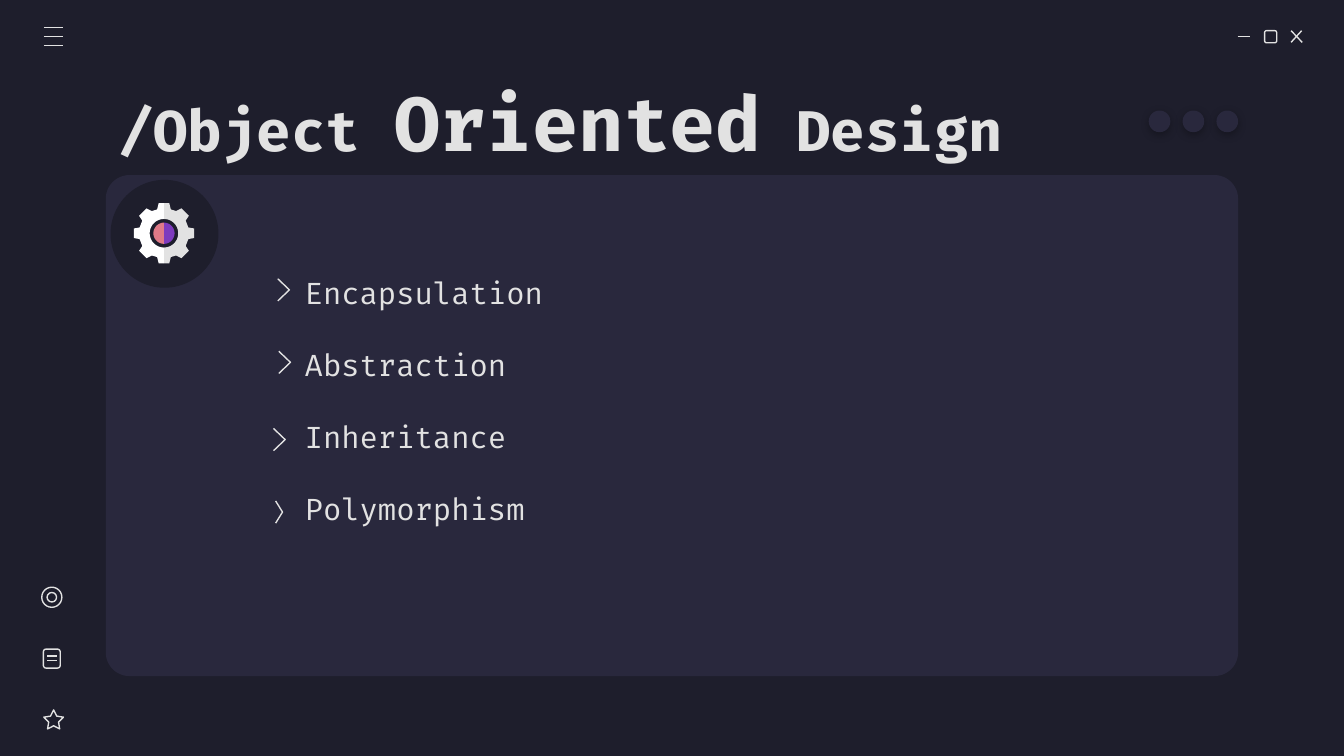
from math import cos, pi, sin

from lxml.etree import SubElement
from pptx import Presentation
from pptx.dml.color import RGBColor
from pptx.enum.shapes import MSO_CONNECTOR, MSO_SHAPE
from pptx.enum.text import MSO_ANCHOR
from pptx.oxml.ns import qn
from pptx.util import Cm, Pt

NIGHT = RGBColor(0x1E, 0x1E, 0x2C)
PANEL = RGBColor(0x29, 0x28, 0x3D)
LIGHT = RGBColor(0xE2, 0xE2, 0xE2)
WHITE = RGBColor(0xFF, 0xFF, 0xFF)
PINK = RGBColor(0xE0, 0x7A, 0x88)
PURPLE = RGBColor(0x7E, 0x3B, 0xBE)

presentation = Presentation()
presentation.slide_width, presentation.slide_height = Cm(25.4), Cm(14.29)
slide = presentation.slides.add_slide(presentation.slide_layouts[6])
slide.background.fill.solid()
slide.background.fill.fore_color.rgb = NIGHT
shapes = slide.shapes


def add_figure(kind, box=None, points=None, fill=None, closed=True):
    """Add a preset in box, or a polygon through points; without a fill it gets a thin outline."""
    if points:
        corners = [(Cm(x), Cm(y)) for x, y in points]
        if kind == MSO_CONNECTOR.STRAIGHT:
            shape = shapes.add_connector(kind, *corners[0], *corners[1])
            SubElement(shape._element.spPr, qn("a:effectLst"))
        else:
            builder = shapes.build_freeform(*corners[0], scale=1.0)
            builder.add_line_segments(corners[1:], close=closed)
            shape = builder.convert_to_shape()
    else:
        shape = shapes.add_shape(kind, *[Cm(length) for length in box])
    if kind != MSO_CONNECTOR.STRAIGHT:
        shape.shadow.inherit = False
        if fill is None:
            shape.fill.background()
        else:
            shape.fill.solid()
            shape.fill.fore_color.rgb = fill
    if fill is None:
        shape.line.color.rgb = LIGHT
        shape.line.width = Pt(0.75)
    else:
        shape.line.fill.background()
    return shape


def add_text(lines, box, gap=0, bottom_inset=0.25):
    """Add one paragraph per line; a line is a list of (text, size, bold) runs."""
    text_frame = shapes.add_textbox(*[Cm(length) for length in box]).text_frame
    text_frame.word_wrap = True
    text_frame.vertical_anchor = MSO_ANCHOR.MIDDLE
    text_frame.margin_left = text_frame.margin_right = text_frame.margin_top = Cm(0.25)
    text_frame.margin_bottom = Cm(bottom_inset)
    for index, line in enumerate(lines):
        paragraph = text_frame.add_paragraph() if index else text_frame.paragraphs[0]
        paragraph.space_before = Pt(gap if index else 0)
        for text, size, bold in line:
            run = paragraph.add_run()
            run.text = text
            run.font.name = "Fira Code"
            run.font.size = Pt(size)
            run.font.bold = bold
            run.font.color.rgb = LIGHT


# Content panel
panel = add_figure(MSO_SHAPE.ROUNDED_RECTANGLE, (2, 3.31, 21.4, 9.47), fill=PANEL)
panel.adjustments[0] = 0.047

# Window buttons, menu and sidebar icons
for start, end in [
    ((23.39, 0.69), (23.62, 0.69)),
    ((24.4, 0.58), (24.61, 0.8)),
    ((24.6, 0.58), (24.4, 0.8)),
    *[((0.83, y), (1.2, y)) for y in (0.52, 0.69, 0.86)],
    *[((0.89, y), (1.07, y)) for y in (12.4, 12.49)],
]:
    add_figure(MSO_CONNECTOR.STRAIGHT, points=(start, end))
for kind, box in [
    (MSO_SHAPE.ROUNDED_RECTANGLE, (23.9, 0.58, 0.23, 0.23)),
    (MSO_SHAPE.OVAL, (0.79, 11.1, 0.38, 0.38)),
    (MSO_SHAPE.OVAL, (0.89, 11.2, 0.18, 0.18)),
    (MSO_SHAPE.ROUNDED_RECTANGLE, (0.82, 12.27, 0.32, 0.36)),
]:
    add_figure(kind, box)
star = add_figure(MSO_SHAPE.STAR_5_POINT, (0.83, 13.42, 0.37, 0.36))
star.adjustments[0] = 0.254

# Title and principles
add_text(
    [[("/Object ", 30, True), ("Oriented", 40, True), (" Design", 30, True)]],
    (2, 1.5, 21.4, 1.6),
)
principles = ["Encapsulation", "Abstraction", "Inheritance", "Polymorphism"]
add_text(
    [[(principle, 16, False)] for principle in principles],
    (5.51, 5.69, 9.7, 4.45), gap=19.3, bottom_inset=0.93,
)
for left, top, width in [(5.25, 5.27, 0.22), (5.27, 6.64, 0.22), (5.17, 8.1, 0.22), (5.21, 9.47, 0.13)]:
    corners = [(left, top), (left + width, top + 0.21), (left, top + 0.42)]
    add_figure(None, points=corners, closed=False)

# Two-tone gear badge
add_figure(MSO_SHAPE.OVAL, (2.09, 3.4, 2.04, 2.04), fill=NIGHT)
CENTER_X, CENTER_Y = 3.1, 4.41
teeth = [(0, -0.57), (0.1, -0.57), (0.13, -0.45), (0.23, -0.42), (0.33, -0.47),
         (0.47, -0.33), (0.41, -0.24), (0.46, -0.11), (0.57, -0.09)]
teeth += [(x, -y) for x, y in reversed(teeth)]
angles = [pi / 2 - pi * step / 24 for step in range(25)]
hole = [(0.27 * cos(angle), 0.27 * sin(angle)) for angle in angles]
core = [(0.2 * cos(angle), 0.2 * sin(angle)) for angle in angles]
for side, gear_color, core_color in [(1, LIGHT, PURPLE), (-1, WHITE, PINK)]:
    for outline, color in [(teeth + hole, gear_color), (core, core_color)]:
        points = [(CENTER_X + side * x, CENTER_Y + y) for x, y in outline]
        add_figure(None, points=points, fill=color)

# Dots with a soft shadow
for index in range(3):
    dot = add_figure(MSO_SHAPE.OVAL, (21.71 + 0.64 * index, 2.09, 0.41, 0.41), fill=PANEL)
    effects = dot._element.spPr.find(qn("a:effectLst"))
    shadow = SubElement(effects, qn("a:outerShdw"), blurRad=str(Pt(4.5)), dist=str(Pt(1.5)),
                        dir="5400000", algn="bl", rotWithShape="0")
    shadow_color = SubElement(shadow, qn("a:srgbClr"), val="000000")
    SubElement(shadow_color, qn("a:alpha"), val="30000")

presentation.save("out.pptx")
